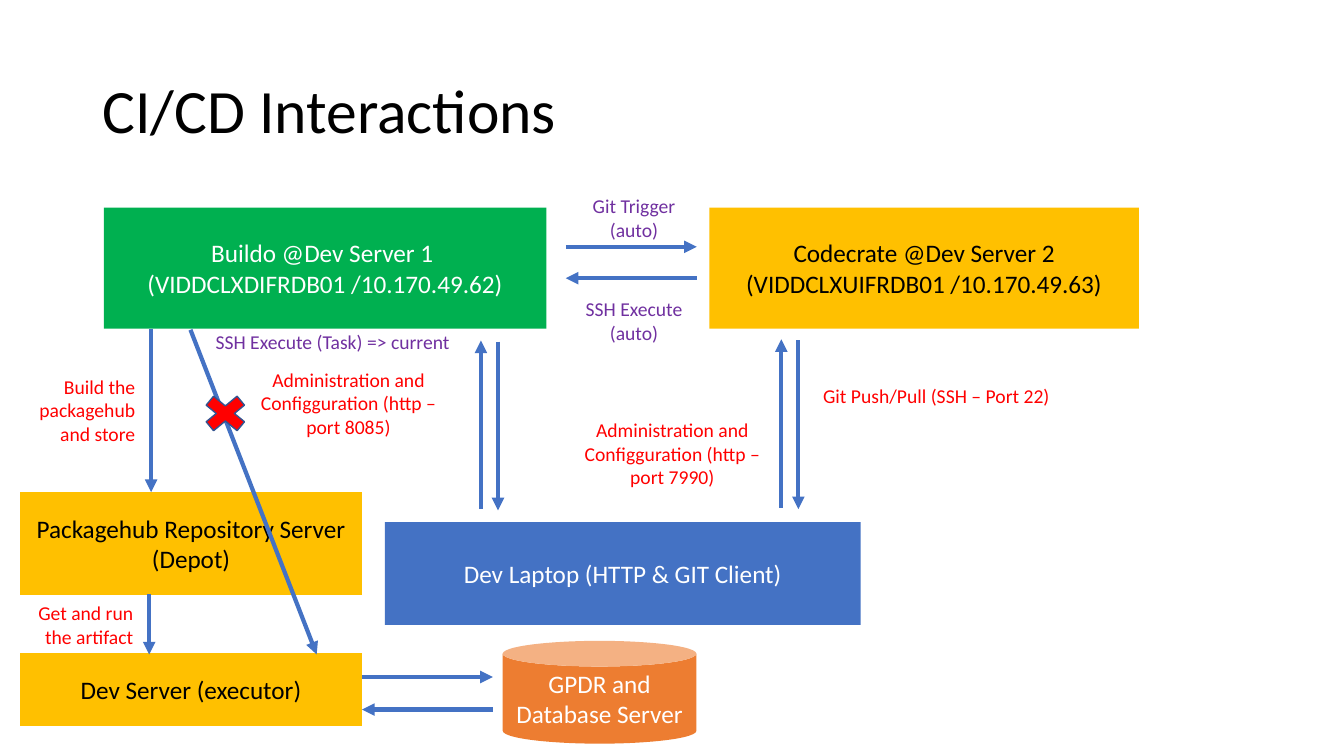
from pptx import Presentation, util as u
from pptx.dml.color import RGBColor
from pptx.enum import shapes, text
from pptx.oxml import parse_xml
from pptx.oxml.ns import nsdecls

BLUE, GOLD, GREEN, CORAL = "4472C4", "FFC000", "00B050", "ED7D31"
RED, PLUM, BLACK, WHITE = "FF0000", "7030A0", "000000", "FFFFFF"
MID, RIGHT = text.PP_ALIGN.CENTER, text.PP_ALIGN.RIGHT
FORM = shapes.MSO_SHAPE


def hue(code):
    """Turn a hex string into a colour."""
    return RGBColor.from_string(code)


def cms(*sizes):
    """Turn centimetre numbers into lengths."""
    return [u.Cm(size) for size in sizes]


def style(frame, words, size, ink, align):
    """Fill a text frame and format its paragraphs and runs."""
    frame.text = words
    frame.word_wrap = True
    for para in frame.paragraphs:
        para.alignment = align
        for run in para.runs:
            run.font.name = "Calibri"
            run.font.size = u.Pt(size)
            run.font.color.rgb = hue(ink)


def block(slide, box, fill, words="", ink=BLACK, form=FORM.RECTANGLE):
    """Draw a filled shape with centred text."""
    shape = slide.shapes.add_shape(form, *cms(*box))
    shape.shadow.inherit = False
    shape.fill.solid()
    shape.fill.fore_color.rgb = hue(fill)
    shape.line.fill.background()
    if words:
        style(shape.text_frame, words, 18, ink, MID)
        shape.text_frame.vertical_anchor = text.MSO_ANCHOR.MIDDLE
    return shape


def note(slide, box, words, ink=RED, align=MID):
    """Place a small label."""
    label = slide.shapes.add_textbox(*cms(*box))
    style(label.text_frame, words, 14, ink, align)


def arrow(slide, *ends):
    """Draw a blue arrow from one point to another."""
    line = slide.shapes.add_connector(shapes.MSO_CONNECTOR.STRAIGHT, *cms(*ends))
    line.line.color.rgb = hue(BLUE)
    line.line.width = u.Pt(3)
    tip = parse_xml(f'<a:tailEnd {nsdecls("a")} type="triangle"/>')
    line.line._get_or_add_ln().append(tip)
    line._element.spPr.append(parse_xml(f'<a:effectLst {nsdecls("a")}/>'))


def head(slide, box):
    """Place the slide title."""
    title = slide.shapes.title
    title.left, title.top, title.width, title.height = cms(*box)
    style(title.text_frame, "CI/CD Interactions", 44, BLACK, text.PP_ALIGN.LEFT)
    title.text_frame.vertical_anchor = text.MSO_ANCHOR.MIDDLE
    title.text_frame.paragraphs[0].line_spacing = 0.9


def servers(slide, x, y, w, h):
    """Draw the build and code servers and the calls between them."""
    block(slide, (x, y, 11.15, h), GREEN,
          "Buildo @Dev Server 1 \n(VIDDCLXDIFRDB01 /10.170.49.62)", WHITE)
    block(slide, (x + w - 10.82, y, 10.82, h), GOLD,
          "Codecrate @Dev Server 2\n(VIDDCLXUIFRDB01 /10.170.49.63)")
    near, far = x + 11.64, x + 14.94
    arrow(slide, near, y + 0.99, far, y + 0.99)
    arrow(slide, far, y + 1.78, near, y + 1.78)
    note(slide, (x + 11.76, y - 0.46, 3.2, 1.45), "Git Trigger (auto)", PLUM)
    note(slide, (x + 11.76, y + 2.13, 3.2, 1.45), "SSH Execute\n(auto)", PLUM)


def laptop(slide, x, y, w, h):
    """Draw the laptop and its links up to both servers."""
    block(slide, (x, y, w, h), BLUE, "Dev Laptop (HTTP & GIT Client)", WHITE)
    for left, rise in ((x + 2.42, 0), (x + 9.99, 0.03)):
        arrow(slide, left, y - 0.33 - rise, left, y - 4.58 - rise)
        arrow(slide, left + 0.43, y - 4.55 - rise, left + 0.43, y - 0.3 - rise)
    for left, top, port in ((x - 3.48, y - 4.02, 8085), (x + 4.68, y - 2.75, 7990)):
        note(slide, (left, top, 5.13, 2.06),
             f"Administration and Configguration (http – port {port})")
    note(slide, (x + 10.42, y - 3.61, 6.96, 0.86), "Git Push/Pull (SSH – Port 22)")


def release(slide, x, y, w, h):
    """Draw the repository, the executor and the paths into them."""
    base = y + h - 1.83
    block(slide, (x, y, w, 2.59), GOLD, "Packagehub Repository Server\n(Depot)")
    block(slide, (x, base, w, 1.83), GOLD, "Dev Server (executor)")
    arrow(slide, x + 3.3, y - 4.12, x + 3.3, y)
    arrow(slide, x + 3.25, y + 2.57, x + 3.25, base + 0.03)
    note(slide, (x - 0.18, y - 3.08, 3.33, 2.06),
         "Build the packagehub and store", RED, RIGHT)
    note(slide, (x, y + 2.62, 3.1, 1.45), "Get and run the artifact", RED, RIGHT)
    arrow(slide, x + 4.29, y - 4.09, x + 7.47, base + 0.03)
    note(slide, (x + 4.27, y - 4.2, 7.21, 0.86), "SSH Execute (Task) => current", PLUM)
    cross = block(slide, (x + 4.42, y - 2.6, 1.5, 1.24), RED, form=FORM.MATH_MULTIPLY)
    cross.line.color.rgb = hue("325491")
    cross.line.width = u.Pt(1)


def store(slide, x, y, w, h):
    """Draw the database and its exchange with the executor."""
    block(slide, (x, y, w, h), CORAL, "GPDR and Database Server", WHITE, FORM.CAN)
    near, far = x - 3.55, x - 0.25
    arrow(slide, near, y + 0.91, far, y + 0.91)
    arrow(slide, far, y + 1.73, near, y + 1.73)


def main():
    """Build and save the slide."""
    deck = Presentation()
    deck.slide_width, deck.slide_height = cms(33.87, 19.05)
    slide = deck.slides.add_slide(deck.slide_layouts[5])
    head(slide, (2.33, 1.02, 29.21, 3.68))
    servers(slide, 2.62, 5.23, 26.08, 3.05)
    laptop(slide, 9.7, 13.16, 11.99, 2.59)
    release(slide, 0.51, 12.4, 8.61, 5.89)
    store(slide, 12.67, 16.15, 4.88, 2.59)
    deck.save("out.pptx")


if __name__ == "__main__":
    main()
